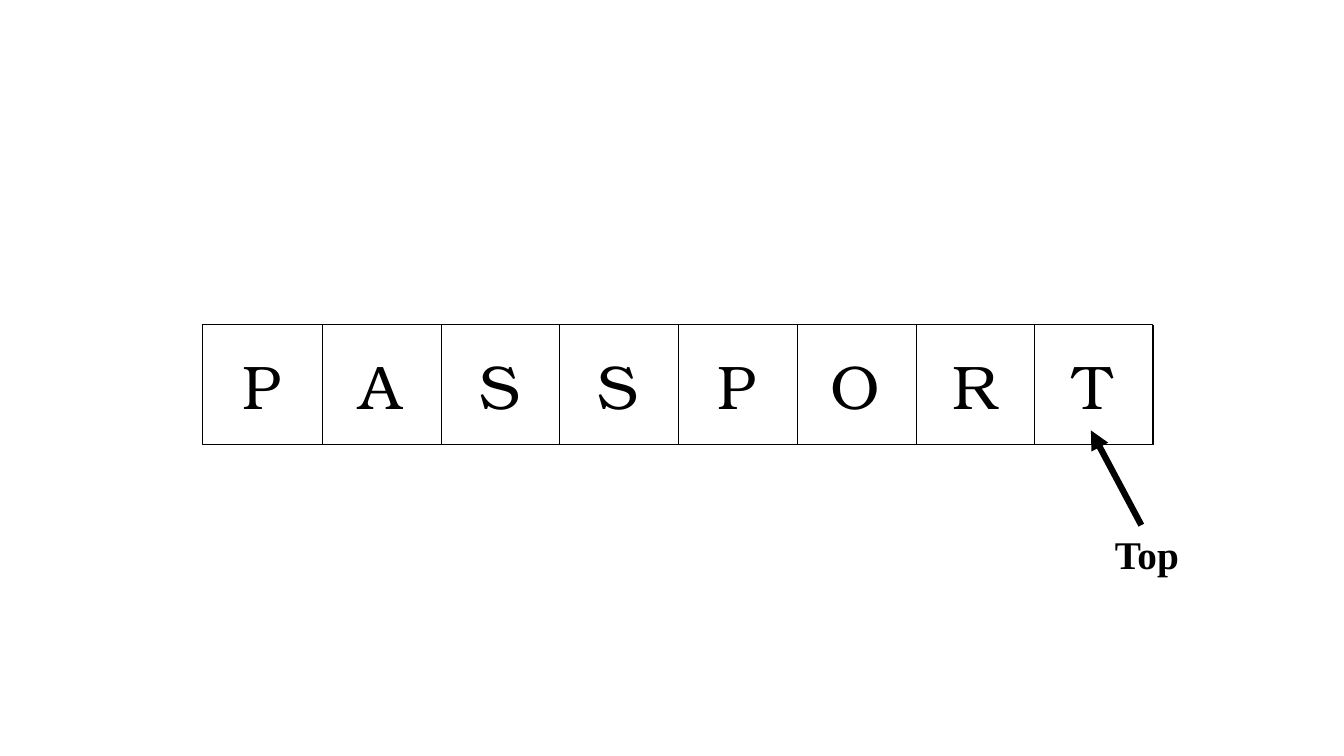
import pptx
import pptx.dml.color
import pptx.enum.shapes
import pptx.enum.text
import pptx.oxml.ns
import pptx.util
import lxml.etree

Inches = pptx.util.Inches
Pt = pptx.util.Pt
BLACK = pptx.dml.color.RGBColor(0, 0, 0)

WORD = "PASSPORT"
ROW_LEFT, ROW_TOP, ROW_WIDTH, ROW_HEIGHT = 2.01, 3.22, 9.42, 1.19
CELL_WIDTH = ROW_WIDTH / len(WORD)


def add_frame(slide):
    frame = slide.shapes.add_shape(
        pptx.enum.shapes.MSO_SHAPE.RECTANGLE,
        Inches(ROW_LEFT), Inches(ROW_TOP), Inches(ROW_WIDTH), Inches(ROW_HEIGHT))
    frame.shadow.inherit = False
    frame.fill.background()
    frame.line.color.rgb = BLACK
    frame.line.width = Pt(1)


def add_line(slide, start, end, width, arrow=False):
    connector = slide.shapes.add_connector(
        pptx.enum.shapes.MSO_CONNECTOR.STRAIGHT,
        Inches(start[0]), Inches(start[1]), Inches(end[0]), Inches(end[1]))
    connector.line.color.rgb = BLACK
    connector.line.width = Pt(width)
    qn = pptx.oxml.ns.qn
    if arrow:
        outline = connector.line._get_or_add_ln()
        lxml.etree.SubElement(outline, qn("a:tailEnd"), type="triangle")
    lxml.etree.SubElement(connector._element.spPr, qn("a:effectLst"))


def add_text(slide, text, left, top, width, height, font_name, size):
    box = slide.shapes.add_textbox(
        Inches(left), Inches(top), Inches(width), Inches(height))
    box.text_frame.text = text
    font = box.text_frame.paragraphs[0].runs[0].font
    font.name = font_name
    font.size = Pt(size)
    font.color.rgb = BLACK
    return box


def add_letter(slide, letter, left):
    box = add_text(slide, letter, left, ROW_TOP, CELL_WIDTH, ROW_HEIGHT,
                   "TeX Gyre Bonum", 44)
    box.text_frame.word_wrap = True
    box.text_frame.vertical_anchor = pptx.enum.text.MSO_ANCHOR.MIDDLE
    box.text_frame.paragraphs[0].alignment = pptx.enum.text.PP_ALIGN.CENTER


def add_pointer(slide, label):
    add_line(slide, (11.32, 5.21), (10.82, 4.27), 4.5, arrow=True)
    box = add_text(slide, label, 10.96, 5.21, 0.84, 0.57, "Times New Roman", 28)
    box.text_frame.word_wrap = False
    box.text_frame.auto_size = pptx.enum.text.MSO_AUTO_SIZE.SHAPE_TO_FIT_TEXT
    box.text_frame.paragraphs[0].runs[0].font.bold = True


def main():
    presentation = pptx.Presentation()
    presentation.slide_width = Inches(13.33)
    presentation.slide_height = Inches(7.5)
    slide = presentation.slides.add_slide(presentation.slide_layouts[6])

    add_frame(slide)
    for index, letter in enumerate(WORD):
        left = ROW_LEFT + index * CELL_WIDTH
        right = left + CELL_WIDTH + 0.01
        add_line(slide, (right, ROW_TOP), (right, ROW_TOP + ROW_HEIGHT), 0.5)
        add_letter(slide, letter, left)
    add_pointer(slide, "Top")

    presentation.save("out.pptx")


main()
